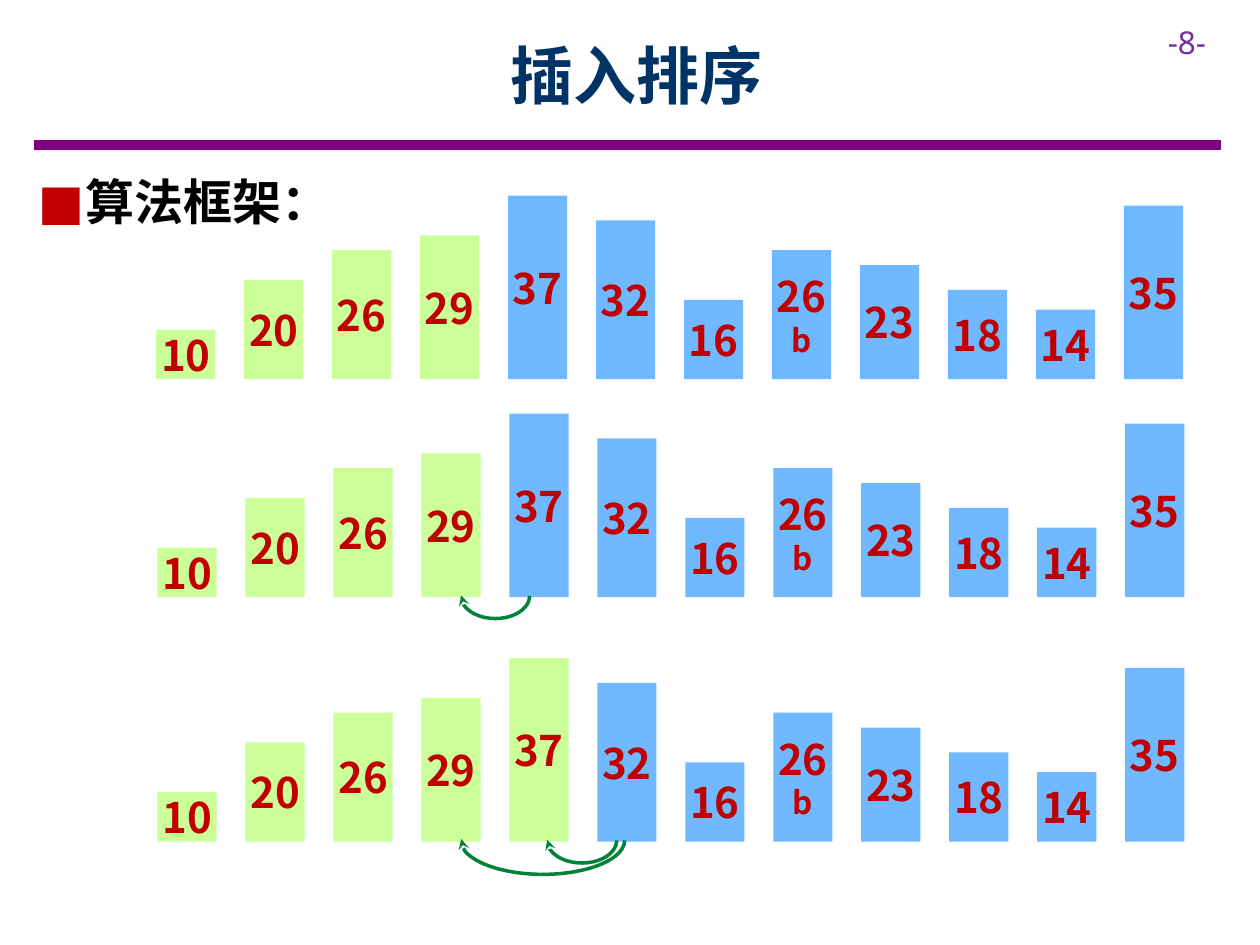
"""Builds a slide showing the first steps of insertion sort as rows of bars."""
from pptx import Presentation
from pptx.dml.color import RGBColor
from pptx.enum.shapes import MSO_CONNECTOR, MSO_SHAPE
from pptx.enum.text import MSO_ANCHOR, MSO_AUTO_SIZE, PP_ALIGN
from pptx.oxml.ns import qn
from pptx.util import Inches, Pt
from lxml.etree import SubElement

NAVY = RGBColor(0x00, 0x33, 0x66)
PURPLE = RGBColor(0x80, 0x00, 0x80)
VIOLET = RGBColor(0x70, 0x30, 0xA0)
RED = RGBColor(0xC0, 0x00, 0x00)
BLACK = RGBColor(0x00, 0x00, 0x00)
SORTED_GREEN = RGBColor(0xCC, 0xFF, 0x99)
WAITING_BLUE = RGBColor(0x70, 0xB8, 0xFF)
ARROW_GREEN = RGBColor(0x00, 0x82, 0x3B)

CJK_FONT = "Noto Sans CJK SC"
LATIN_FONT = "Noto Sans"

LABELS = ["10", "20", "26", "29", "37", "32", "16", "26\nb", "23", "18", "14", "35"]
PITCH = 7.68 / (len(LABELS) - 1)
BAR_WIDTH = 0.47
UNIT_HEIGHT = 1.26 / 32

# left, baseline, sorted count, arrows as (head column, tail column, depth)
ROWS = [
    (1.24, 3.01, 4, []),
    (1.25, 4.74, 4, [(3.45, 4.23, 0.18)]),
    (1.25, 6.68, 5, [(4.43, 5.22, 0.18), (3.45, 5.31, 0.27)]),
]


def format_span(span, size, color, font=CJK_FONT, bold=True):
    """Set the font of one run for Latin and East Asian text."""
    span.font.size = Pt(size)
    span.font.bold = bold
    span.font.color.rgb = color
    span.font.name = font
    SubElement(span.font._element, qn("a:ea")).set("typeface", font)


def place(box, left, top, width, height):
    """Move and size a box, in inches."""
    box.left, box.top = Inches(left), Inches(top)
    box.width, box.height = Inches(width), Inches(height)


def add_title(page, text):
    """Fill the title placeholder."""
    box = page.shapes.title
    place(box, 0.9, 0.09, 8.31, 1)
    frame = box.text_frame
    frame.text = text
    frame.auto_size = MSO_AUTO_SIZE.NONE
    frame.vertical_anchor = MSO_ANCHOR.MIDDLE
    frame.paragraphs[0].alignment = PP_ALIGN.CENTER
    format_span(frame.paragraphs[0].runs[0], 36, NAVY)


def add_heading(page, text):
    """Fill the body placeholder with one square-bulleted line."""
    box = page.placeholders[1]
    place(box, 0.2, 1.31, 9.45, 0.57)
    frame = box.text_frame
    frame.text = text
    frame.auto_size = MSO_AUTO_SIZE.NONE
    para = frame.paragraphs[0]
    para.space_before, para.space_after = Pt(0), Pt(6)
    format_span(para.runs[0], 28, BLACK)
    properties = para._p.get_or_add_pPr()
    properties.set("marL", str(Inches(0.38)))
    properties.set("indent", str(-Inches(0.38)))
    color = SubElement(properties, qn("a:buClr"))
    SubElement(color, qn("a:srgbClr")).set("val", str(RED))
    SubElement(properties, qn("a:buFont")).set("typeface", LATIN_FONT)
    SubElement(properties, qn("a:buChar")).set("char", "■")


def add_page_number(page, text):
    """Write the page number in the top right corner."""
    box = page.shapes.add_textbox(Inches(9.17), Inches(0.13), Inches(0.83), Inches(0.4))
    box.text_frame.word_wrap = True
    box.text_frame.text = text
    format_span(box.text_frame.paragraphs[0].runs[0], 18, VIOLET, LATIN_FONT, False)


def add_rule(page):
    """Draw the thick line under the title."""
    y = Inches(1.15)
    rule = page.shapes.add_connector(MSO_CONNECTOR.STRAIGHT, Inches(0.27), y, Inches(9.69), y)
    rule.line.color.rgb = PURPLE
    rule.line.width = Pt(6)
    SubElement(rule._element.spPr, qn("a:effectLst"))


def add_bar(page, left, baseline, label, color):
    """Draw a labelled bar whose height follows its number."""
    height = int(label.split()[0]) * UNIT_HEIGHT
    bar = page.shapes.add_shape(MSO_SHAPE.RECTANGLE, Inches(left), Inches(baseline - height),
                                Inches(BAR_WIDTH), Inches(height))
    bar.shadow.inherit = False
    bar.fill.solid()
    bar.fill.fore_color.rgb = color
    bar.line.fill.background()
    frame = bar.text_frame
    frame.text = label
    frame.margin_left = frame.margin_right = 0
    frame.margin_top = frame.margin_bottom = Inches(0.1)
    frame.vertical_anchor = MSO_ANCHOR.MIDDLE
    for para, size in zip(frame.paragraphs, (24, 18)):
        para.alignment = PP_ALIGN.CENTER
        format_span(para.runs[0], size, RED)


def add_arrow(page, head, tail, baseline, depth):
    """Draw a half-ellipse arrow below the baseline from tail to head."""
    reach = tail - head
    arc = page.shapes.add_shape(MSO_SHAPE.ARC, Inches((head + tail) / 2 - depth),
                                Inches(baseline - reach / 2), Inches(2 * depth), Inches(reach))
    arc.rotation = 90
    arc.adjustments[0], arc.adjustments[1] = 162, 54.6
    arc.shadow.inherit = False
    arc.fill.background()
    arc.line.color.rgb = ARROW_GREEN
    arc.line.width = Pt(2)
    SubElement(arc.line._get_or_add_ln(), qn("a:tailEnd")).set("type", "stealth")


def add_row(page, left, baseline, sorted_count, arrows):
    """Draw one state of the array with its moves."""
    for column, label in enumerate(LABELS):
        color = SORTED_GREEN if column < sorted_count else WAITING_BLUE
        add_bar(page, left + column * PITCH, baseline, label, color)
    for head, tail, depth in arrows:
        add_arrow(page, left + head * PITCH, left + tail * PITCH, baseline - 0.01, depth)


def main():
    """Build and save the deck."""
    deck = Presentation()
    deck.slide_width, deck.slide_height = Inches(10), Inches(7.5)
    page = deck.slides.add_slide(deck.slide_layouts[1])
    add_rule(page)
    add_page_number(page, "-8-")
    add_heading(page, "算法框架：")
    add_title(page, "插入排序")
    for row in ROWS:
        add_row(page, *row)
    deck.save("out.pptx")


main()
